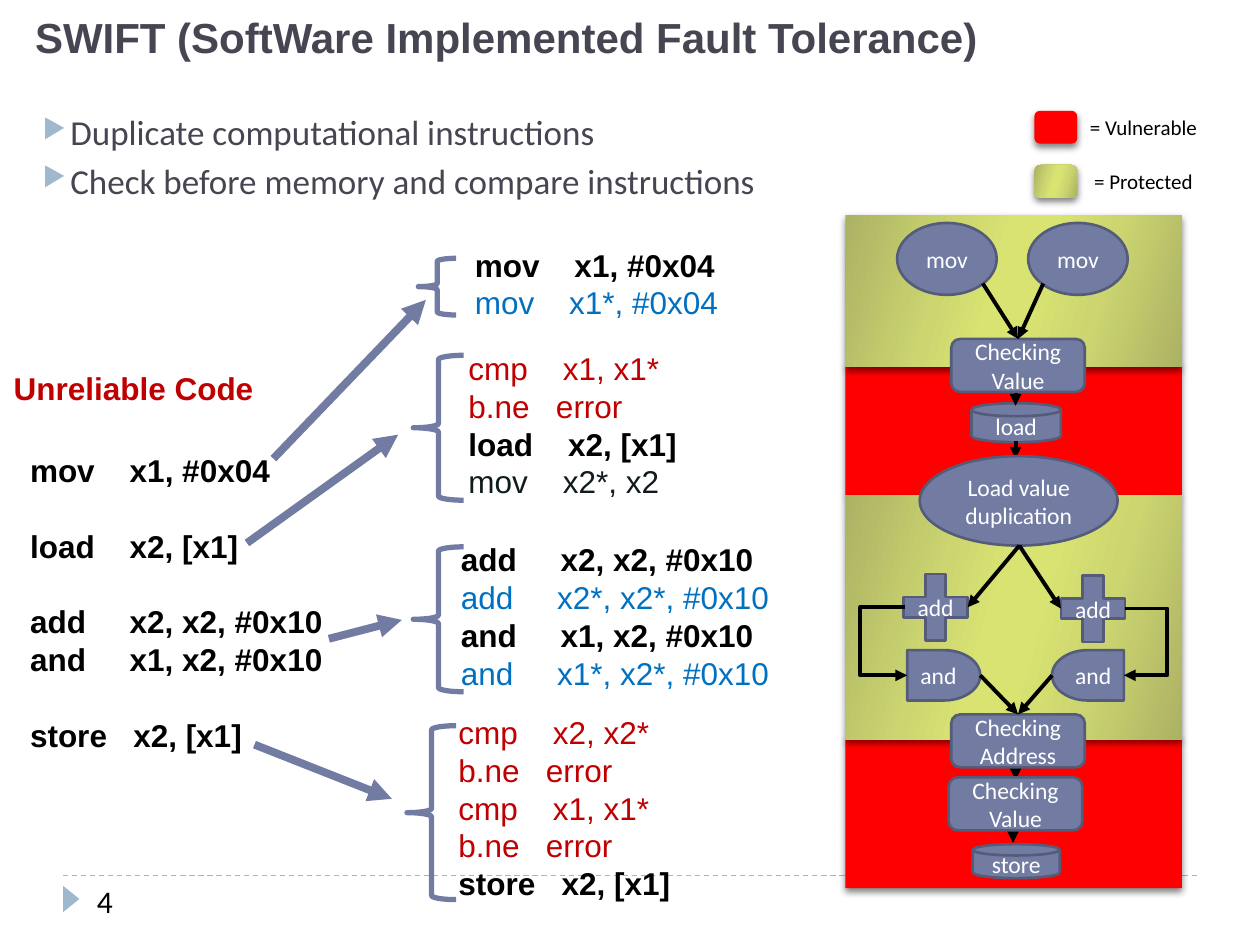
from lxml.etree import SubElement
from pptx import Presentation
from pptx.dml.color import RGBColor
from pptx.enum.dml import MSO_LINE as Dash
from pptx.enum.shapes import MSO_CONNECTOR as Link, MSO_SHAPE as Kind
from pptx.enum.text import MSO_ANCHOR as Anchor, PP_ALIGN as Align
from pptx.oxml.ns import qn
from pptx.util import Inches, Pt

COLORS = {
    "black": "000000", "white": "FFFFFF", "slate": "727CA3", "edge": "545C79",
    "ink": "464653", "accent": "9FB8CD", "red": "FF0000", "error": "C00000",
    "blue": "0070C0", "dark": "101B1D",
}
OLIVE = [(0, "ACB264"), (30, "CCD570"), (45, "D9E371"), (55, "D9E371"), (73, "CCD570"), (100, "ACB264")]
CODE = {
    "main": {"color": "black", "bold": True},
    "twin": {"color": "blue"},
    "check": {"color": "error"},
    "copy": {"color": "dark"},
}
CODE_LINE = Pt(21.6)


def add(parent, tag, **values):
    return SubElement(parent, qn(tag), {key: str(value) for key, value in values.items()})


class Deck:
    def __init__(self, columns=100, rows=75):
        self.deck = Presentation()
        self.deck.slide_width, self.deck.slide_height = Inches(10), Inches(7.5)
        self.column = self.deck.slide_width / columns
        self.row = self.deck.slide_height / rows
        self.slide = self.deck.slides.add_slide(self.deck.slide_layouts[6])
        self.shapes = self.slide.shapes

    def grid(self, *lengths):
        return [round(n * (self.row if i % 2 else self.column)) for i, n in enumerate(lengths)]

    def words(self, paragraph, words, color="black", **font):
        run = paragraph.add_run()
        run.text = words
        for name, value in {"name": "Calibri", "size": Pt(18), "bold": False, **font}.items():
            setattr(run.font, name, value)
        run.font.color.rgb = RGBColor.from_string(COLORS[color])

    def text(self, place, words, align=Align.LEFT, anchor=Anchor.TOP, **font):
        frame = self.shapes.add_textbox(*self.grid(*place)).text_frame
        for name, value in {"word_wrap": True, "vertical_anchor": anchor}.items():
            setattr(frame, name, value)
        frame.paragraphs[0].alignment = align
        self.words(frame.paragraphs[0], words, **font)

    def code(self, place, lines):
        frame = self.shapes.add_textbox(*self.grid(*place)).text_frame
        frame.word_wrap = True
        for i, (style, words, *gap) in enumerate(lines):
            paragraph = frame.paragraphs[0] if i == 0 else frame.add_paragraph()
            paragraph.line_spacing = CODE_LINE
            if gap:
                paragraph.space_before = CODE_LINE
            self.words(paragraph, words, name="Arial", **CODE[style])

    def bullets(self, place, items):
        frame = self.shapes.add_textbox(*self.grid(*place)).text_frame
        frame.word_wrap = True
        for i, words in enumerate(items):
            paragraph = frame.paragraphs[0] if i == 0 else frame.add_paragraph()
            paragraph.space_before = Pt(3.8 if i else 0)
            props = paragraph._p.get_or_add_pPr()
            props.set("marL", str(Inches(0.45)))
            props.set("indent", str(Inches(-0.22)))
            add(add(props, "a:buClr"), "a:srgbClr", val=COLORS["accent"])
            add(props, "a:buSzPct", val=76000)
            add(props, "a:buChar", char="▶")
            self.words(paragraph, words, color="ink", size=Pt(20))

    def shape(self, kind, place, fill=None, line=None, weight=1.5):
        shape = self.shapes.add_shape(kind, *self.grid(*place))
        shape.shadow.inherit = False
        if fill:
            shape.fill.solid()
            shape.fill.fore_color.rgb = RGBColor.from_string(COLORS[fill])
        else:
            shape.fill.background()
        if line:
            shape.line.color.rgb = RGBColor.from_string(COLORS[line])
            shape.line.width = Pt(weight)
        else:
            shape.line.fill.background()
        return shape

    def zone(self, kind, place, protected):
        zone = self.shape(kind, place, "red")
        props = zone._element.spPr
        if protected:
            zone.fill.gradient()
            zone.fill.gradient_angle = 344
            stops = props.find(".//" + qn("a:gsLst"))
            for stop in list(stops):
                stops.remove(stop)
            for share, shade in OLIVE:
                add(add(stops, "a:gs", pos=share * 1000), "a:srgbClr", val=shade)
        glow = add(props.find(qn("a:effectLst")), "a:outerShdw",
                   blurRad=Pt(4), dist=Pt(2), dir=5400000, rotWithShape=0)
        add(add(glow, "a:srgbClr", val=COLORS["black"]), "a:alpha", val=50000)

    def node(self, kind, place, label, flip=False):
        node = self.shape(kind, place, "slate", "edge")
        if flip:
            node._element.spPr.find(qn("a:xfrm")).set("flipH", "1")
        for name, value in {"word_wrap": " " in label, "vertical_anchor": Anchor.MIDDLE}.items():
            setattr(node.text_frame, name, value)
        paragraph = node.text_frame.paragraphs[0]
        paragraph.alignment = Align.CENTER
        self.words(paragraph, label, color="white", size=Pt(13.5))
        return node

    def line(self, ends, color="black", weight=2.25, head=True, dash=None, via=None, target=None):
        kind = Link.STRAIGHT if via is None else Link.ELBOW
        line = self.shapes.add_connector(kind, *self.grid(*ends))
        line.line.color.rgb = RGBColor.from_string(COLORS[color])
        line.line.width = Pt(weight)
        if dash:
            line.line.dash_style = dash
        props = line._element.spPr
        if head:
            add(props.find(qn("a:ln")), "a:tailEnd", type="triangle")
        add(props, "a:effectLst")
        if via is not None:
            bend = round((via - ends[0]) / (ends[2] - ends[0]) * 100000)
            guides = props.find(qn("a:prstGeom")).get_or_add_avLst()
            add(guides, "a:gd", name="adj1", fmla=f"val {bend}")
        if target is not None:
            line.end_connect(target, 0)


def main():
    page = Deck()
    page.line((5, 69.5, 95, 69.5), "accent", 0.75, head=False, dash=Dash.DASH)
    page.shape(Kind.ISOSCELES_TRIANGLE, (4.6, 70.7, 2.1, 1.3), "accent").rotation = 90
    page.text((6.7, 69.5, 14.1, 4), "4")
    page.text((1.8, 0, 98, 5.4), "SWIFT (SoftWare Implemented Fault Tolerance)",
              anchor=Anchor.BOTTOM, name="Arial", size=Pt(24), bold=True, color="ink")
    page.bullets((0.1, 8.3, 80, 7.1), ["Duplicate computational instructions",
                                       "Check before memory and compare instructions"])

    for top, height, protected in [(58.5, 12, False), (29, 10.3, False), (39.3, 19.4, True), (17.1, 12, True)]:
        page.zone(Kind.RECTANGLE, (67.1, top, 26.7, height), protected)
    for i, meaning in enumerate(["= Vulnerable", "= Protected"]):
        page.zone(Kind.ROUNDED_RECTANGLE, (82.1, 8.8 + 4.3 * i, 3.4, 2.6), i == 1)
        page.text((85, 8.6 + 4.3 * i, 11.5, 2.8), meaning, align=Align.CENTER, size=Pt(12))

    for left in (71.2, 81.6):
        page.node(Kind.OVAL, (left, 17.7, 7.9, 5.7), "mov")
    page.node(Kind.FLOWCHART_MAGNETIC_DISK, (77.1, 32, 7.1, 3.1), "load")
    page.node(Kind.FLOWCHART_MAGNETIC_DISK, (77.2, 67, 6.9, 2.7), "store")
    for x, top, bottom in [(80.6, 31, 32.2), (80.6, 35, 36.4), (80.6, 60.7, 61.9), (80.4, 65.7, 66.9)]:
        page.line((x, top, x, bottom))
    value_check, address_check, _ = [
        page.node(Kind.ROUNDED_RECTANGLE, (left, top, 10.6, 4.2), label)
        for left, top, label in [(75.5, 26.9, "Checking Value"), (75.5, 56.7, "Checking Address"),
                                 (75.3, 61.7, "Checking Value")]]
    page.node(Kind.OVAL, (73, 36.2, 15.7, 7.1), "Load value duplication")
    for left, top in [(70.8, 44.6), (83.3, 44.7)]:
        page.node(Kind.MATH_PLUS, (left, top, 6.9, 7.2), "add")
    page.node(Kind.FLOWCHART_DELAY, (72, 51.6, 5.8, 4), "and")
    page.node(Kind.FLOWCHART_DELAY, (83.5, 51.6, 5.7, 4), "and", flip=True)
    for x in (78, 82.8):
        page.line((x, 22.5, 80.8, 26.9), target=value_check)
    for x, y in [(76.8, 48.2), (84.2, 48.3)]:
        page.line((80.9, 43.3, x, y))
    for x in (77.8, 83.5):
        page.line((x, 53.6, 80.8, 56.7), target=address_check)
    page.line((71.8, 48.2, 72, 53.6), via=68.3)
    page.line((89.3, 48.3, 89.2, 53.6), via=92.7)

    page.text((0.1, 28.8, 28.9, 4), "Unreliable Code", name="Arial", bold=True, color="error")
    page.code((1.4, 35.3, 27.5, 27.5), [
        ("main", "mov    x1, #0x04"), ("main", "load    x2, [x1]", "gap"),
        ("main", "add     x2, x2, #0x10", "gap"), ("main", "and     x1, x2, #0x10"),
        ("main", "store   x2, [x1]", "gap")])

    expansions = [
        ((36.7, 19, 26.9, 7.1), (33.2, 20.5, 3, 4.5), (21.7, 36.4, 33.8, 23.8),
         [("main", "mov    x1, #0x04"), ("twin", "mov    x1*, #0x04")]),
        ((36.2, 27.2, 31.3, 13.1), (32.8, 28.2, 4, 11.5), (19.6, 43.1, 31.6, 34.5),
         [("check", "cmp    x1, x1*"), ("check", "b.ne   error"),
          ("main", "load    x2, [x1]"), ("copy", "mov    x2*, x2")]),
        ((35.6, 42.4, 34.7, 13.1), (32.8, 43.4, 4, 11.5), (26.1, 50.7, 31.9, 49.2),
         [("main", "add     x2, x2, #0x10"), ("twin", "add     x2*, x2*, #0x10"),
          ("main", "and     x1, x2, #0x10"), ("twin", "and     x1*, x2*, #0x10")]),
        ((35.4, 56.1, 32.6, 16.2), (32.3, 57.6, 3.9, 13.8), (20.2, 59.1, 31.1, 63.4),
         [("check", "cmp    x2, x2*"), ("check", "b.ne   error"), ("check", "cmp    x1, x1*"),
          ("check", "b.ne   error"), ("main", "store   x2, [x1]")]),
    ]
    for place, brace, arrow, lines in expansions:
        page.code(place, lines)
        page.line(arrow, "slate", 4.5)
        page.shape(Kind.LEFT_BRACE, brace, line="slate", weight=3)

    page.deck.save("out.pptx")


if __name__ == "__main__":
    main()
